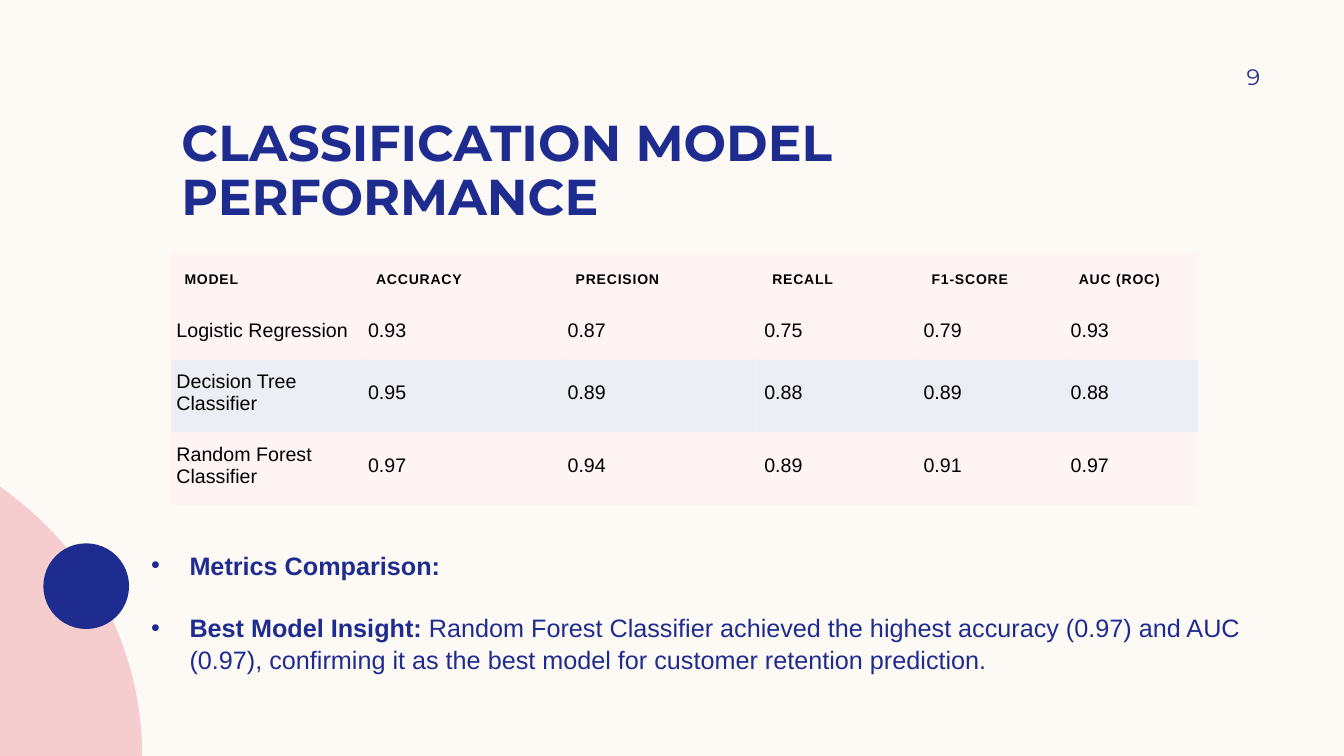
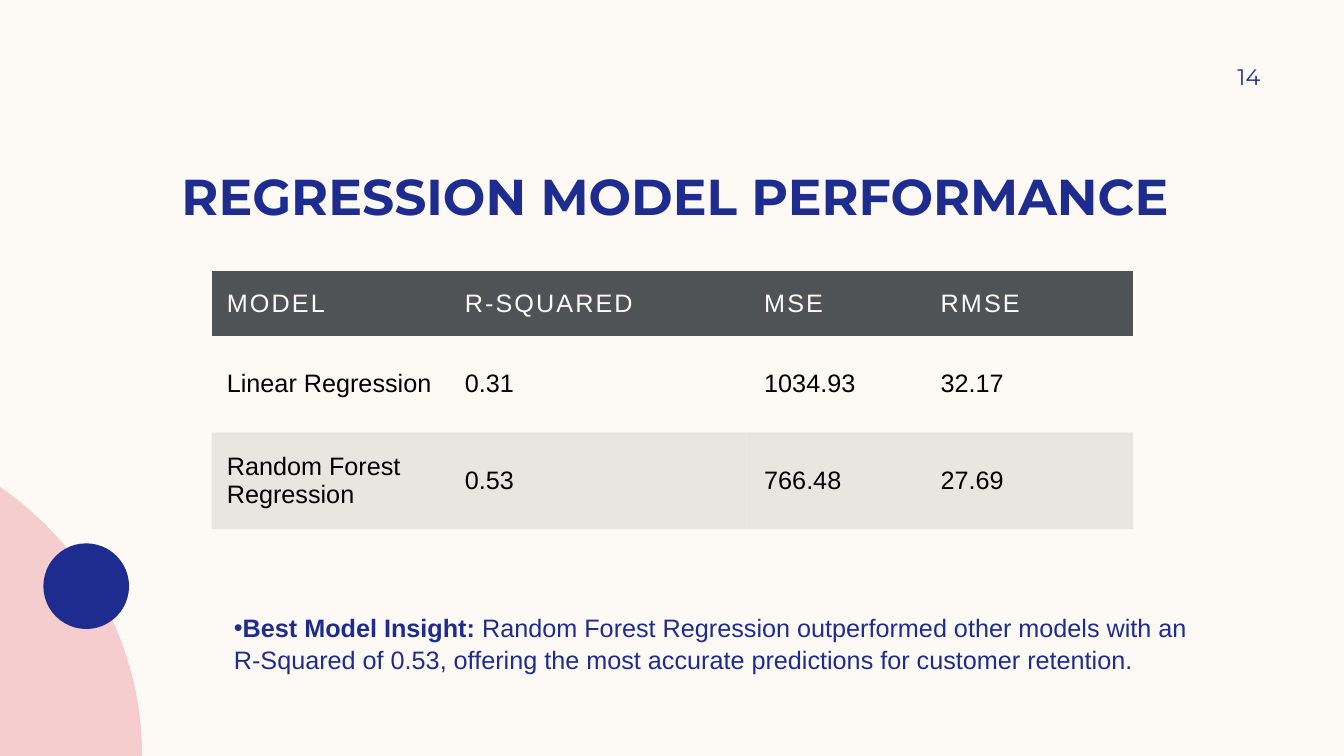
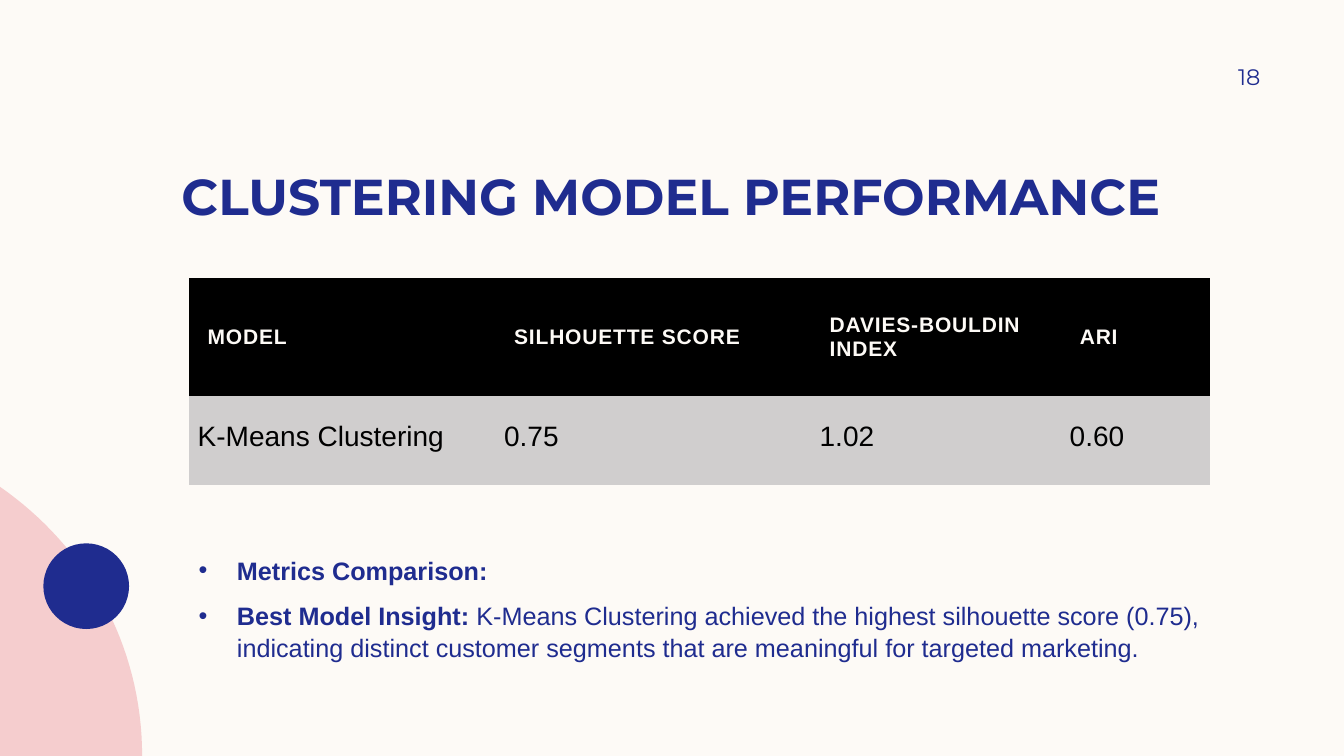
from dataclasses import dataclass
from typing import Optional

import lxml.etree
import pptx
import pptx.dml.color
import pptx.enum.shapes
import pptx.enum.text
import pptx.oxml.ns
import pptx.util

Inches = pptx.util.Inches
Pt = pptx.util.Pt
RGBColor = pptx.dml.color.RGBColor
ANCHOR = pptx.enum.text.MSO_ANCHOR
ALIGN = pptx.enum.text.PP_ALIGN
qn = pptx.oxml.ns.qn

CREAM = RGBColor(0xFD, 0xFA, 0xF6)
NAVY = RGBColor(0x1F, 0x2C, 0x8F)
ROSE = RGBColor(0xF5, 0xCD, 0xCE)
BLUSH = RGBColor(0xFF, 0xF4, 0xF4)
PALE_BLUE = RGBColor(0xDA, 0xE3, 0xF3)
SLATE = RGBColor(0x50, 0x53, 0x56)
SILVER = RGBColor(0xD0, 0xCE, 0xCE)
BLACK = RGBColor(0x00, 0x00, 0x00)

HEADING_FONT = "Montserrat"
BODY_FONT = "Arial"
PLAIN_TABLE_STYLE = "{2D5ABB26-0587-4C30-8999-92F81FD0307C}"
Box = tuple[float, float, float, float]


@dataclass
class RowStyle:
    """Look of a table row; margins run left, top, right, bottom."""
    size: float
    margins: Box
    color: RGBColor = BLACK
    bold: bool = False
    spacing: float = 0


@dataclass
class Band:
    color: RGBColor
    opacity: int = 100


@dataclass
class MetricsTable:
    left: float
    top: float
    widths: list[float]
    heights: list[float]
    rows: list[list[str]]
    bands: list[Optional[Band]]
    header: RowStyle
    body: RowStyle


@dataclass
class ModelSlide:
    number: str
    title: str
    table: MetricsTable
    list_box: Box
    bullets: list[tuple[str, str]]
    space_before: float = 0
    space_after: float = 0
    hanging: bool = True


SLIDES = [
    ModelSlide(
        "9", "CLASSIFICATION MODEL PERFORMANCE",
        MetricsTable(
            1.7, 2.5, [1.9, 1.98, 1.95, 1.58, 1.46, 1.31], [0.55, 0.52, 0.72, 0.72],
            [["MODEL", "ACCURACY", "PRECISION", "RECALL", "F1-SCORE", "AUC (ROC)"],
             ["Logistic Regression", "0.93", "0.87", "0.75", "0.79", "0.93"],
             ["Decision Tree Classifier", "0.95", "0.89", "0.88", "0.89", "0.88"],
             ["Random Forest Classifier", "0.97", "0.94", "0.89", "0.91", "0.97"]],
            [Band(BLUSH), Band(BLUSH), Band(PALE_BLUE, 50), Band(BLUSH)],
            RowStyle(10, (0.13,) * 4, bold=True, spacing=0.6),
            RowStyle(14, (0.05, 0.03, 0.05, 0.09))),
        (1.4, 5.44, 11.1, 1.8),
        [("Metrics Comparison:", ""),
         ("Best Model Insight:", " Random Forest Classifier achieved the highest accuracy (0.97) "
          "and AUC (0.97), confirming it as the best model for customer retention prediction.")],
        space_before=10, space_after=12),
    ModelSlide(
        "14", "REGRESSION MODEL PERFORMANCE",
        MetricsTable(
            2.1, 2.69, [2.36, 2.97, 1.75, 2.06], [0.64, 0.96, 0.96],
            [["MODEL", "R-SQUARED", "MSE", "RMSE"],
             ["Linear Regression", "0.31", "1034.93", "32.17"],
             ["Random Forest Regression", "0.53", "766.48", "27.69"]],
            [Band(SLATE), None, Band(BLACK, 8)],
            RowStyle(18, (0.15,) * 4, CREAM, spacing=1.5),
            RowStyle(18, (0.15,) * 4)),
        (2.22, 6.06, 9.75, 1.27),
        [("Best Model Insight:", " Random Forest Regression outperformed other models with an "
          "R-Squared of 0.53, offering the most accurate predictions for customer retention.")],
        space_after=6, hanging=False),
    ModelSlide(
        "18", "CLUSTERING MODEL PERFORMANCE",
        MetricsTable(
            1.87, 2.76, [3.04, 3.13, 2.48, 1.48], [1.17, 0.88],
            [["MODEL", "SILHOUETTE SCORE", "DAVIES-BOULDIN INDEX", "ARI"],
             ["K-Means Clustering", "0.75", "1.02", "0.60"]],
            [Band(BLACK), Band(SILVER)],
            RowStyle(15, (0.19,) * 4, CREAM, bold=True, spacing=0.6),
            RowStyle(20, (0.09, 0.05, 0.09, 0.13))),
        (1.87, 5.49, 10.21, 1.95),
        [("Metrics Comparison:", ""),
         ("Best Model Insight:", " K-Means Clustering achieved the highest silhouette score (0.75), "
          "indicating distinct customer segments that are meaningful for targeted marketing.")],
        space_before=10),
]


def add_text(p, text: str, *, size: float, color: RGBColor = NAVY, font: str = BODY_FONT,
             bold: bool = False, spacing: float = 0) -> None:
    r = p.add_run()
    r.text = text
    r.font.size = Pt(size)
    r.font.name = font
    r.font.bold = bold
    r.font.color.rgb = color
    if spacing:
        r._r.get_or_add_rPr().set("spc", str(round(spacing * 100)))


def set_frame(sp, box: Box, anchor, margins: Box = (0.1, 0, 0.1, 0)):
    """Place a text shape and return its wrapped text frame."""
    sp.left, sp.top, sp.width, sp.height = map(Inches, box)
    tf = sp.text_frame
    tf.word_wrap = True
    tf.auto_size = pptx.enum.text.MSO_AUTO_SIZE.NONE
    tf.vertical_anchor = anchor
    tf.margin_left, tf.margin_top, tf.margin_right, tf.margin_bottom = map(Inches, margins)
    return tf


def paint(sp, color: RGBColor) -> None:
    sp.shadow.inherit = False
    sp.fill.solid()
    sp.fill.fore_color.rgb = color
    sp.line.fill.background()


def add_corner_art(s) -> None:
    start, c1, c2, end = (0, 4.83), (0.85, 5.42), (1.41, 6.39), (1.41, 7.5)
    steps = 32
    arc = []
    for i in range(1, steps + 1):
        t = i / steps
        weights = ((1 - t) ** 3, 3 * t * (1 - t) ** 2, 3 * t ** 2 * (1 - t), t ** 3)
        arc.append(tuple(Inches(sum(w * pt[axis] for w, pt in zip(weights, (start, c1, c2, end))))
                         for axis in (0, 1)))
    builder = s.shapes.build_freeform(Inches(start[0]), Inches(start[1]))
    builder.add_line_segments(arc + [(0, Inches(7.5))], close=True)
    paint(builder.convert_to_shape(), ROSE)
    dot = s.shapes.add_shape(pptx.enum.shapes.MSO_SHAPE.OVAL,
                             Inches(0.43), Inches(5.39), Inches(0.85), Inches(0.85))
    paint(dot, NAVY)


def add_title(s, title: str) -> None:
    p = set_frame(s.shapes.title, (1.7, 1.16, 10.8, 1.09), ANCHOR.BOTTOM).paragraphs[0]
    p.alignment = ALIGN.LEFT
    p.line_spacing = 0.9
    add_text(p, title, size=36, font=HEADING_FONT, bold=True)


def add_page_number(s, number: str) -> None:
    sp = s.shapes.add_textbox(0, 0, 0, 0)
    p = set_frame(sp, (11.42, 0.5, 1.08, 0.52), ANCHOR.MIDDLE, (0.1, 0.05, 0, 0.05)).paragraphs[0]
    p.alignment = ALIGN.RIGHT
    add_text(p, number, size=16, font=HEADING_FONT)


def add_bullets(s, data: ModelSlide) -> None:
    tf = set_frame(s.placeholders[1], data.list_box, ANCHOR.TOP)
    indent = Inches(0.38) if data.hanging else 0
    for i, (label, detail) in enumerate(data.bullets):
        p = tf.add_paragraph() if i else tf.paragraphs[0]
        pPr = p._p.get_or_add_pPr()
        pPr.set("marL", str(indent))
        pPr.set("indent", str(-indent))
        p.line_spacing = 1.05
        p.space_before = Pt(data.space_before if i else 0)
        p.space_after = Pt(data.space_after)
        add_text(p, label, size=18, bold=True)
        if detail:
            add_text(p, detail, size=18)


def fill_cell(cell, band: Optional[Band]) -> None:
    if band is None:
        cell.fill.background()
        return
    cell.fill.solid()
    cell.fill.fore_color.rgb = band.color
    if band.opacity < 100:
        clr = cell._tc.tcPr.find(f"{qn('a:solidFill')}/{qn('a:srgbClr')}")
        lxml.etree.SubElement(clr, qn("a:alpha"), val=str(band.opacity * 1000))


def add_metrics_table(s, data: MetricsTable) -> None:
    table = s.shapes.add_table(len(data.heights), len(data.widths),
                               Inches(data.left), Inches(data.top),
                               Inches(sum(data.widths)), Inches(sum(data.heights))).table
    table._tbl.tblPr.find(qn("a:tableStyleId")).text = PLAIN_TABLE_STYLE
    table.horz_banding = False
    for column, width in zip(table.columns, data.widths):
        column.width = Inches(width)
    for i, (row, height) in enumerate(zip(table.rows, data.heights)):
        row.height = Inches(height)
        style = data.body if i else data.header
        for cell, text in zip(row.cells, data.rows[i]):
            cell.vertical_anchor = ANCHOR.MIDDLE
            (cell.margin_left, cell.margin_top,
             cell.margin_right, cell.margin_bottom) = map(Inches, style.margins)
            fill_cell(cell, data.bands[i])
            add_text(cell.text_frame.paragraphs[0], text, size=style.size, color=style.color,
                     bold=style.bold, spacing=style.spacing)


def main() -> None:
    prs = pptx.Presentation()
    prs.slide_width, prs.slide_height = Inches(13.33), Inches(7.5)
    background = prs.slide_master.background.fill
    background.solid()
    background.fore_color.rgb = CREAM
    for data in SLIDES:
        s = prs.slides.add_slide(prs.slide_layouts[1])
        add_corner_art(s)
        add_title(s, data.title)
        add_bullets(s, data)
        add_page_number(s, data.number)
        add_metrics_table(s, data.table)
    prs.save("out.pptx")


if __name__ == "__main__":
    main()
